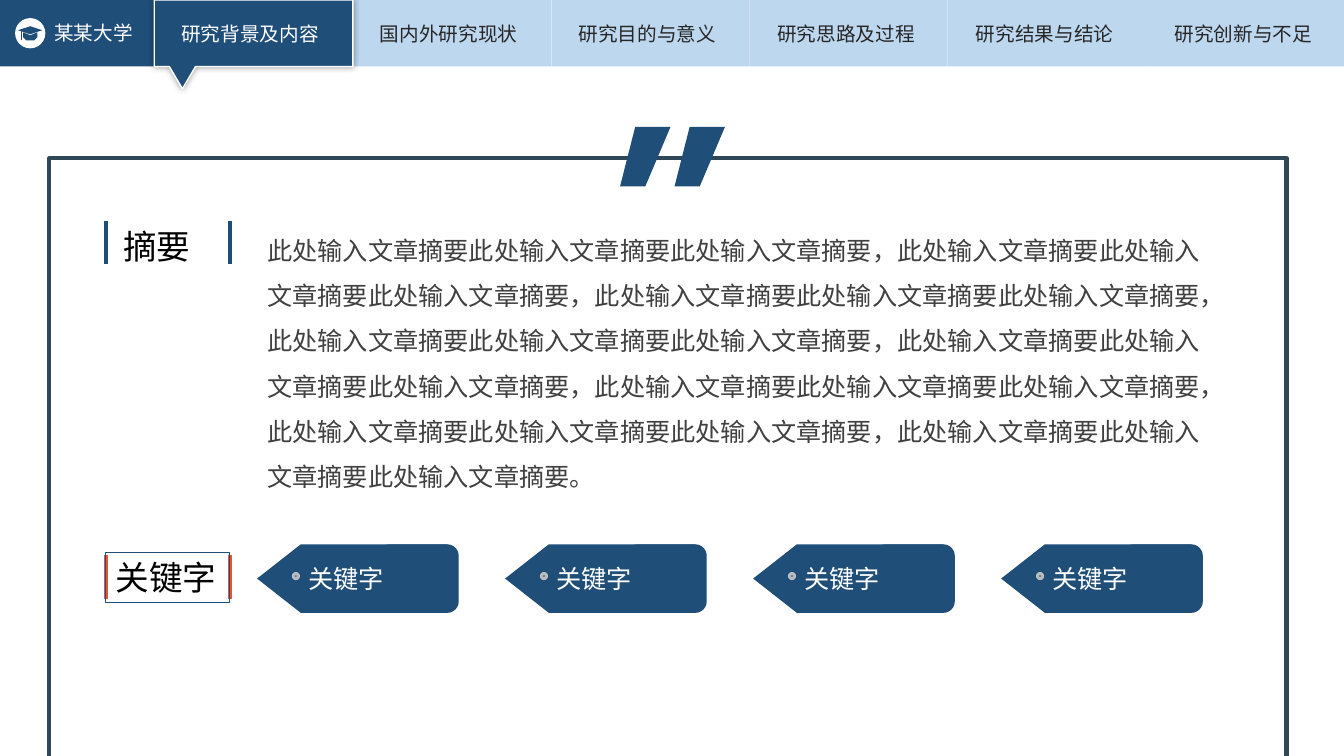
from dataclasses import dataclass

from lxml import etree
from pptx import Presentation
from pptx.dml.color import RGBColor
from pptx.enum.shapes import MSO_CONNECTOR, MSO_SHAPE
from pptx.enum.text import MSO_ANCHOR, MSO_AUTO_SIZE, PP_ALIGN
from pptx.oxml.ns import qn
from pptx.util import Inches, Pt

RECT = MSO_SHAPE.RECTANGLE
ROUND = MSO_SHAPE.ROUNDED_RECTANGLE
ARROW = MSO_SHAPE.PENTAGON
OVAL = MSO_SHAPE.OVAL
STRAIGHT = MSO_CONNECTOR.STRAIGHT
TOP = MSO_ANCHOR.TOP
FIXED = MSO_AUTO_SIZE.NONE
LEFT, JUSTIFY = PP_ALIGN.LEFT, PP_ALIGN.JUSTIFY


@dataclass(frozen=True)
class Theme:
    font: str = "Noto Sans CJK SC"
    navy: str = "1F4E79"
    pale: str = "BDD7EE"
    white: str = "FFFFFF"
    black: str = "000000"
    ink: str = "262626"
    gray: str = "404040"
    silver: str = "B8BCC1"
    slate: str = "2F4858"
    red: str = "E5553A"
    small: int = 14
    text: int = 18
    head: int = 24


def write(shape, text, size, color, font, align=LEFT, wrap=True, spacing=1.0):
    """Fill a shape with paragraphs, one for each line of text."""
    frame = shape.text_frame
    frame.text = text
    frame.auto_size = FIXED
    frame.word_wrap = wrap
    frame.vertical_anchor = TOP
    for para in frame.paragraphs:
        para.alignment = align
        para.line_spacing = spacing
        para.space_before = Pt(0)
        props = para._p.get_or_add_pPr()
        props.set("marL", "0")
        props.set("indent", "0")
        etree.SubElement(props, qn("a:buNone"))
        for run in para.runs:
            run.font.size = Pt(size)
            run.font.name = font
            run.font.color.rgb = RGBColor.from_string(color)
            east = etree.SubElement(run._r.get_or_add_rPr(), qn("a:ea"))
            east.set("typeface", font)


class Page:
    def __init__(self, slide, theme):
        self.slide = slide
        self.theme = theme

    def paint(self, shape, fill, line, width):
        shape.shadow.inherit = False
        if fill:
            shape.fill.solid()
            shape.fill.fore_color.rgb = RGBColor.from_string(fill)
        else:
            shape.fill.background()
        if line:
            shape.line.color.rgb = RGBColor.from_string(line)
            shape.line.width = Pt(width)
        else:
            shape.line.fill.background()
        return shape

    def shape(self, kind, box, fill=None, line=None, width=1):
        shape = self.slide.shapes.add_shape(kind, *map(Inches, box))
        return self.paint(shape, fill, line, width)

    def free(self, points, fill, line=None, width=1):
        first, *rest = [(Inches(x), Inches(y)) for x, y in points]
        build = self.slide.shapes.build_freeform(*first)
        build.add_line_segments(rest, close=True)
        return self.paint(build.convert_to_shape(), fill, line, width)

    def bar(self, x, y, height, color):
        ends = map(Inches, (x, y, x, y + height))
        line = self.slide.shapes.add_connector(STRAIGHT, *ends)
        line.line.color.rgb = RGBColor.from_string(color)
        line.line.width = Pt(3)
        etree.SubElement(line._element.spPr, qn("a:effectLst"))

    def label(self, box, text, size, color, **style):
        shape = self.slide.shapes.add_textbox(*map(Inches, box))
        write(shape, text, size, color, self.theme.font, **style)

    def holder(self, index, box, text, size, color, **style):
        shape = self.slide.placeholders[index]
        shape.left, shape.top, shape.width, shape.height = map(Inches, box)
        write(shape, text, size, color, self.theme.font, **style)

    def glow(self, shape):
        """Put a soft dark shadow around a shape."""
        effects = shape._element.spPr.find(qn("a:effectLst"))
        outer = etree.SubElement(effects, qn("a:outerShdw"), blurRad=str(Pt(5)), dist="0", dir="0")
        tint = etree.SubElement(outer, qn("a:srgbClr"), val=self.theme.black)
        etree.SubElement(tint, qn("a:alpha"), val="40000")

    def tag(self, x, text):
        """Draw a keyword tag with its point at x."""
        navy = self.theme.navy
        point = self.shape(ARROW, (x, 5.4, 1.89, 0.68), navy)
        point.adjustments[0] = 0.637
        point._element.spPr.xfrm.set("flipH", "1")
        self.shape(ROUND, (x + 1.2, 5.4, 0.8, 0.68), navy)
        self.shape(OVAL, (x + 0.36, 5.69, 0.05, 0.05), navy, self.theme.silver, 2.25)
        self.label((x + 0.41, 5.54, 1.38, 0.4), text, self.theme.text,
                   self.theme.white, align=JUSTIFY)


def main():
    deck = Presentation()
    deck.slide_width, deck.slide_height = Inches(13.33), Inches(7.5)
    theme = Theme()
    page = Page(deck.slides.add_slide(deck.slide_layouts[1]), theme)

    # Navigation bar
    tabs = ["研究背景及内容", "国内外研究现状", "研究目的与意义",
            "研究思路及过程", "研究结果与结论", "研究创新与不足"]
    page.shape(RECT, (0, 0, 1.97, 0.66), theme.navy)
    pitch = (13.33 - 1.54) / len(tabs)
    for i in range(len(tabs)):
        page.shape(RECT, (1.54 + i * pitch, 0, pitch, 0.66), theme.pale)
    active = page.free([(1.53, 0), (3.5, 0), (3.5, 0.66), (1.94, 0.66),
                        (1.81, 0.88), (1.68, 0.66), (1.53, 0.66)],
                       theme.navy, theme.white)
    page.glow(active)
    for i, name in enumerate(tabs):
        page.label((1.7 + i * 1.97, 0.17, 1.58, 0.34), name, theme.small,
                   theme.ink if i else theme.white, wrap=False)

    # School badge
    page.shape(OVAL, (0.15, 0.18, 0.3, 0.3), theme.white)
    page.free([(0.18, 0.3), (0.3, 0.26), (0.42, 0.3), (0.3, 0.34)], theme.navy)
    page.free([(0.23, 0.32), (0.3, 0.35), (0.37, 0.32), (0.37, 0.37),
               (0.34, 0.4), (0.26, 0.4), (0.23, 0.37)], theme.navy)
    page.free([(0.21, 0.31), (0.22, 0.31), (0.22, 0.4), (0.21, 0.4)], theme.navy)
    page.label((0.44, 0.16, 0.99, 0.34), "某某大学", theme.small, theme.white, wrap=False)

    # Frame and quote marks
    page.shape(RECT, (0.49, 1.57, 12.27, 6.39), line=theme.slate, width=3)
    for x in (6.15, 6.69):
        page.free([(x + 0.15, 1.26), (x + 0.5, 1.26), (x + 0.25, 1.85), (x, 1.85)],
                  theme.navy)

    # Abstract
    for x in (1.05, 2.28):
        page.bar(x, 2.19, 0.43, theme.navy)
        page.bar(x, 5.51, 0.43, theme.red)
    page.holder(0, (1.12, 2.19, 1.09, 0.5), "摘要", theme.head, theme.black, align=JUSTIFY)
    clause = "此处输入文章摘要" * 3
    body = (clause + "，") * 6 + "\n" + clause + "，" + clause + "。"
    page.holder(1, (2.55, 2.13, 9.66, 2.78), body, theme.text, theme.gray, spacing=1.5)

    # Keywords
    page.shape(RECT, (1.05, 5.48, 1.23, 0.5), line=theme.navy, width=0.75)
    page.label((1.05, 5.48, 1.23, 0.5), "关键字", theme.head, theme.black, align=JUSTIFY)
    for i in range(4):
        page.tag(2.55 + i * 2.46, "关键字")

    deck.save("out.pptx")


if __name__ == "__main__":
    main()
